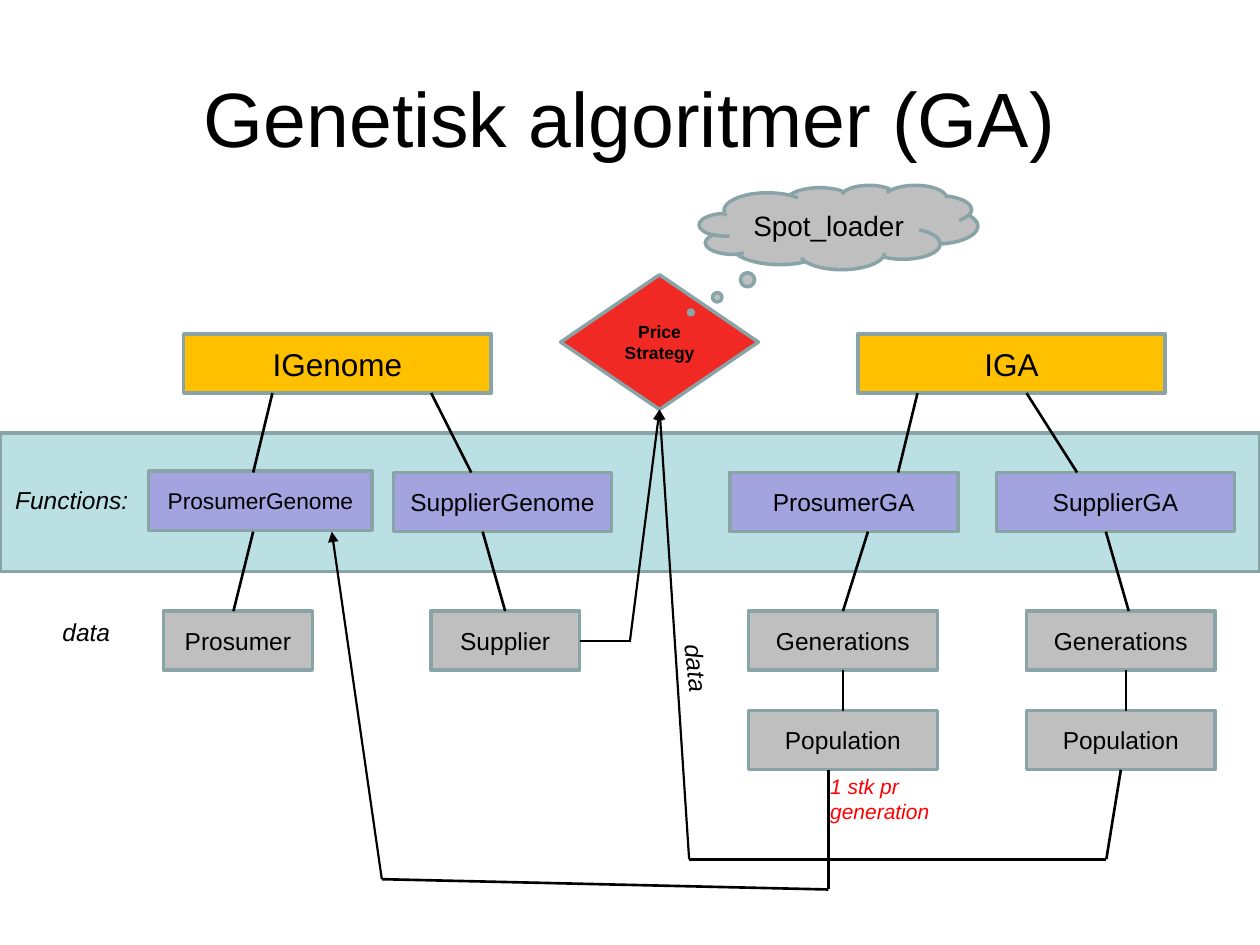
from lxml import etree
from pptx import Presentation
from pptx.dml.color import RGBColor
from pptx.enum.shapes import MSO_CONNECTOR, MSO_SHAPE as Preset
from pptx.enum.text import MSO_ANCHOR as Anchor, PP_ALIGN as Align
from pptx.oxml.ns import qn
from pptx.util import Pt

BLACK = RGBColor(0x00, 0x00, 0x00)
RED = RGBColor(0xFF, 0x00, 0x00)
SCARLET = RGBColor(0xF0, 0x29, 0x24)
AMBER = RGBColor(0xFF, 0xC0, 0x00)
VIOLET = RGBColor(0xA3, 0xA3, 0xE0)
GRAY = RGBColor(0xBF, 0xBF, 0xBF)
AQUA = RGBColor(0xBB, 0xE0, 0xE3)
OUTLINE = RGBColor(0x89, 0xA4, 0xA7)

TOP, BOTTOM, RIGHT = 0, 2, 3
BOX_HEIGHT = 33.8
INTERFACE_Y, FUNCTION_Y, DATA_Y, POPULATION_Y = 190.8, 270, 349.2, 406.1


class Diagram:
    font_name = "Arial"

    def __init__(self, slide):
        self.slide = slide

    def set_text(self, shape, text, size, color=BLACK, align=Align.CENTER,
                 anchor=Anchor.MIDDLE, bold=False, italic=False):
        frame = shape.text_frame
        frame.word_wrap = True
        frame.vertical_anchor = anchor
        paragraph = frame.paragraphs[0]
        paragraph.text = text
        paragraph.alignment = align
        font = paragraph.font
        font.name, font.size, font.color.rgb = self.font_name, Pt(size), color
        font.bold, font.italic = bold, italic

    def label(self, text, x, y, width, height, size=14, rotation=0, **style):
        box = self.slide.shapes.add_textbox(Pt(x), Pt(y), Pt(width), Pt(height))
        box.rotation = rotation
        self.set_text(box, text, size, **style)

    def shape(self, preset, x, y, width, height, fill, text="", size=14, **style):
        shape = self.slide.shapes.add_shape(preset, Pt(x), Pt(y), Pt(width), Pt(height))
        shape.shadow.inherit = False
        shape.fill.solid()
        shape.fill.fore_color.rgb = fill
        shape.line.color.rgb = OUTLINE
        shape.line.width = Pt(2)
        if text:
            self.set_text(shape, text, size, **style)
        return shape

    def box(self, text, x, y, width, fill, size=14):
        return self.shape(Preset.RECTANGLE, x, y, width, BOX_HEIGHT, fill, text, size)

    def line(self, start=(0, 0), end=(0, 0), width=1.5, arrow=False,
             start_join=None, end_join=None):
        """A join is a (shape, side) pair that replaces the given point."""
        connector = self.slide.shapes.add_connector(
            MSO_CONNECTOR.STRAIGHT, *(Pt(value) for value in (*start, *end)))
        connector.line.color.rgb = BLACK
        connector.line.width = Pt(width)
        if start_join:
            connector.begin_connect(*start_join)
        if end_join:
            connector.end_connect(*end_join)
        properties = connector._element.spPr
        if arrow:
            etree.SubElement(properties.find(qn("a:ln")), qn("a:tailEnd"), type="triangle")
        etree.SubElement(properties, qn("a:effectLst"))


def main():
    presentation = Presentation()
    presentation.slide_width, presentation.slide_height = Pt(720), Pt(540)
    slide = presentation.slides.add_slide(presentation.slide_layouts[6])
    diagram = Diagram(slide)

    # Functions band and title
    diagram.shape(Preset.RECTANGLE, 0, 247.5, 720, 79.2, AQUA)
    diagram.label("Genetisk algoritmer (GA)", 36, 21.6, 648, 90, 44)

    # Genome tree
    diagram.box("IGenome", 105, INTERFACE_Y, 175.7, AMBER, 18)
    diagram.box("ProsumerGenome", 85, FUNCTION_Y - 0.7, 127.5, VIOLET, 13)
    diagram.box("SupplierGenome", 224.8, FUNCTION_Y, 124.7, VIOLET)
    diagram.box("Prosumer", 93.5, DATA_Y, 85, GRAY)
    supplier = diagram.box("Supplier", 246.2, DATA_Y, 85, GRAY)

    # GA tree
    diagram.box("IGA", 490.2, INTERFACE_Y, 175.7, AMBER, 18)
    diagram.box("ProsumerGA", 417, FUNCTION_Y, 130.3, VIOLET)
    diagram.box("SupplierGA", 569.4, FUNCTION_Y, 136.1, VIOLET)
    generations, populations = [], []
    for x in (427.7, 586.5):
        generations.append(diagram.box("Generations", x, DATA_Y, 108, GRAY))
        populations.append(diagram.box("Population", x, POPULATION_Y, 108, GRAY))

    # Row labels
    diagram.label("data", 22.3, 349.2, 54, 24.5, anchor=Anchor.TOP, italic=True)
    diagram.label("Functions:", 0, 273.6, 82, 24.5, anchor=Anchor.TOP, italic=True)

    # Price strategy and its data feeds
    strategy = diagram.shape(Preset.DIAMOND, 320.4, 157, 113, 77, SCARLET,
                             "Price Strategy", 10, bold=True)
    diagram.line(end=(360.4, 366.1), width=1.25, start_join=(supplier, RIGHT))
    for start in ((360, 366), (393.8, 491)):
        diagram.line(start, width=1.25, arrow=True, end_join=(strategy, BOTTOM))
    diagram.line((393.8, 491), (632.2, 491))
    diagram.line((632.2, 491), end_join=(populations[1], BOTTOM))

    # Population feed back to ProsumerGenome
    diagram.line((473.4, 508.3), (473.4, 439.9))
    diagram.line((473.4, 508.3), (218.2, 502.4))
    diagram.line((218.2, 502.4), (189.6, 303.8), 1.25, arrow=True)

    # Interfaces to functions: (x below, x above)
    for lower, upper in ((144.7, 155.7), (269.3, 246.4), (513.2, 524.3), (615.5, 586.6)):
        diagram.line((lower, FUNCTION_Y), (upper, INTERFACE_Y + BOX_HEIGHT))

    # Functions to data
    function_bottom = FUNCTION_Y + BOX_HEIGHT
    diagram.line((133.4, DATA_Y), (144.7, function_bottom))
    diagram.line(end=(275.8, function_bottom), start_join=(supplier, TOP))
    diagram.line(end=(496, function_bottom), start_join=(generations[0], TOP))
    diagram.line((645, DATA_Y), (631.9, function_bottom))

    # Generations to populations
    diagram.line(start_join=(populations[0], TOP), end_join=(generations[0], BOTTOM))
    diagram.line((643.5, POPULATION_Y), (643.5, DATA_Y + BOX_HEIGHT))

    # Flow notes
    diagram.label("data", 370.8, 369.4, 54, 24.5, rotation=84,
                  anchor=Anchor.TOP, italic=True)
    diagram.label("1 stk pr generation", 467.3, 438.5, 73.4, 36, 12, color=RED,
                  align=Align.LEFT, anchor=Anchor.TOP, italic=True)

    # Spot loader cloud
    cloud = diagram.shape(Preset.CLOUD_CALLOUT, 399.6, 105.8, 159.1, 48.2, GRAY,
                          "Spot_loader", 16)
    cloud.adjustments[0], cloud.adjustments[1] = -0.53, 1.01

    presentation.save("out.pptx")


if __name__ == "__main__":
    main()
